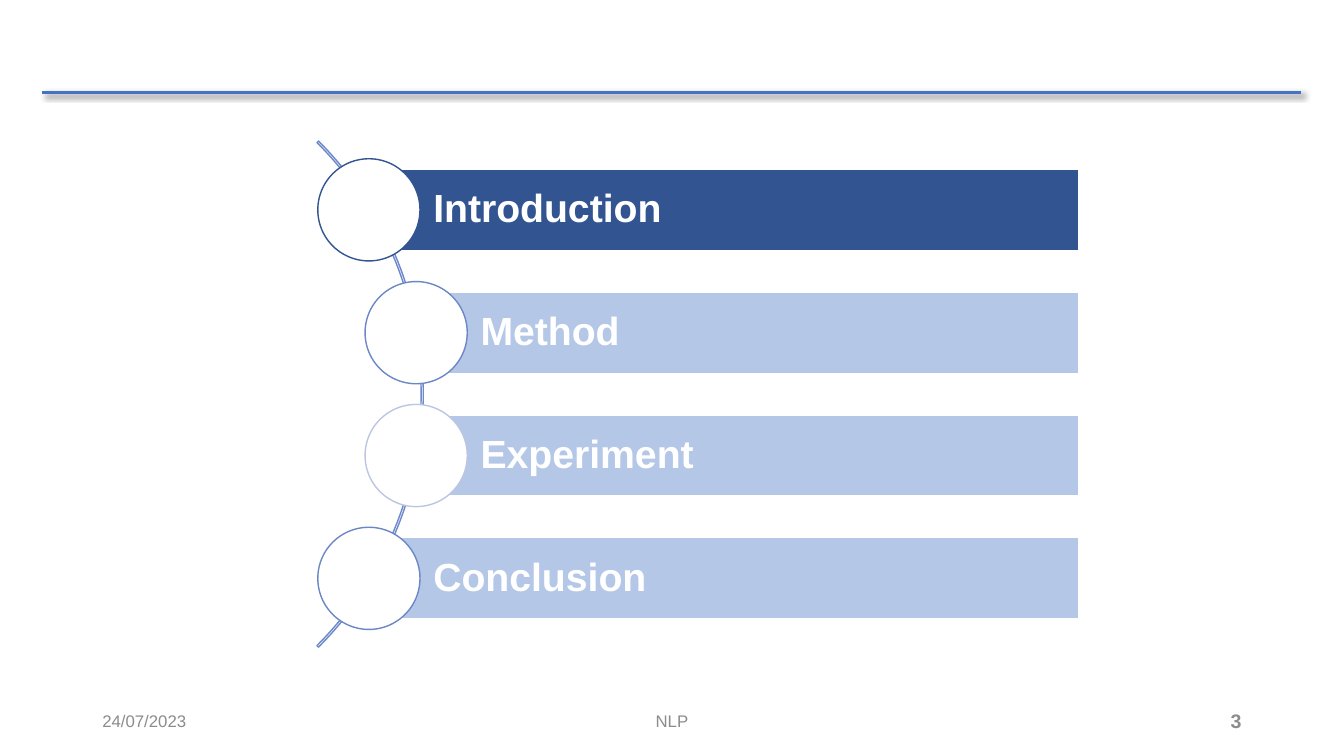
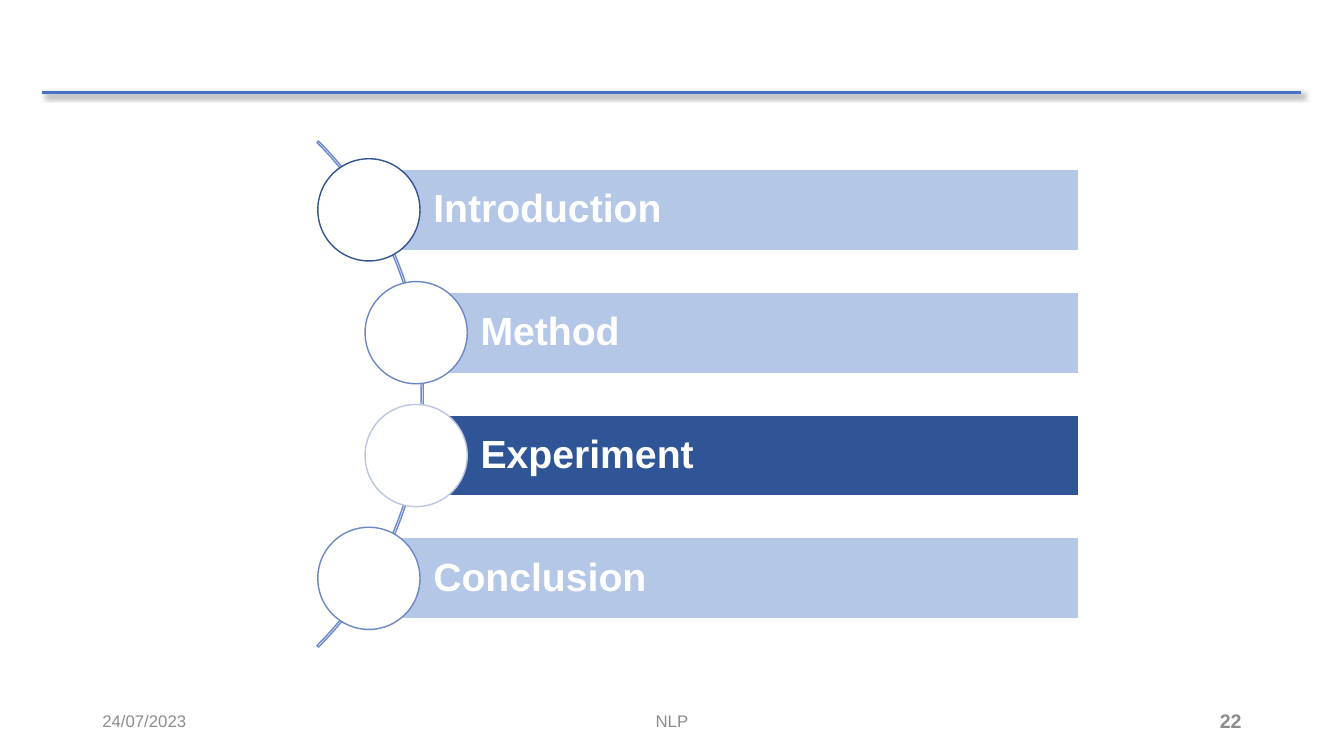
from dataclasses import dataclass

from lxml import etree
from pptx import Presentation
from pptx.dml.color import RGBColor
from pptx.enum import shapes, text
from pptx.oxml import ns
from pptx.util import Pt


@dataclass(frozen=True)
class Theme:
    font: str = "Arial"
    white: str = "FFFFFF"
    rule: str = "4472C4"
    shadow: str = "000000"
    footer: str = "8C8C8C"
    arc: str = "6D89CB"
    navy: str = "325491"
    blue: str = "2F5597"
    pale: str = "B4C7E7"
    ring: str = "6C87C5"
    pale_ring: str = "BCC6E2"
    footer_size: float = 12
    number_size: float = 14
    label_size: float = 28


THEME = Theme()
SLIDE_WIDTH, SLIDE_HEIGHT = 960, 540
RULE_LEFT, RULE_RIGHT, RULE_TOP = 30, 929.5, 65.8
FOOTER_TOP, FOOTER_HEIGHT = 500.5, 28.75
ARC_LEFT, ARC_TOP, ARC_SIZE = -208.8, 25.9, 511.2
BAR_RIGHT, BAR_HEIGHT, BAR_PITCH = 770.4, 58, 87.75
CIRCLE_SIZE = 73
OUTER_X, INNER_X = 263.5, 297.25

SECTIONS = [
    ("Introduction", OUTER_X, THEME.navy),
    ("Method", INNER_X, THEME.ring),
    ("Experiment", INNER_X, THEME.pale_ring),
    ("Conclusion", OUTER_X, THEME.ring),
]


def rgb(colour):
    return RGBColor.from_string(colour)


def style_paragraph(paragraph, size, colour, bold, alignment):
    paragraph.alignment = alignment
    for run in paragraph.runs:
        run.font.name = THEME.font
        run.font.size = Pt(size)
        run.font.bold = bold
        run.font.color.rgb = rgb(colour)


def add_outlined(container, kind, left, top, width, height, fill, line):
    shape = container.add_shape(kind, Pt(left), Pt(top), Pt(width), Pt(height))
    shape.shadow.inherit = False
    if fill:
        shape.fill.solid()
        shape.fill.fore_color.rgb = rgb(fill)
    else:
        shape.fill.background()
    shape.line.color.rgb = rgb(line)
    shape.line.width = Pt(1)
    return shape


def add_rule(slide):
    rule = slide.shapes.add_connector(
        shapes.MSO_CONNECTOR.STRAIGHT,
        Pt(RULE_LEFT), Pt(RULE_TOP), Pt(RULE_RIGHT), Pt(RULE_TOP))
    rule.line.color.rgb = rgb(THEME.rule)
    rule.line.width = Pt(2.25)
    effects = etree.SubElement(rule._element.spPr, ns.qn("a:effectLst"))
    shadow = etree.SubElement(
        effects, ns.qn("a:outerShdw"), blurRad=str(Pt(4)), dist=str(Pt(3)),
        dir="2700000", algn="tl", rotWithShape="0")
    colour = etree.SubElement(shadow, ns.qn("a:srgbClr"), val=THEME.shadow)
    etree.SubElement(colour, ns.qn("a:alpha"), val="40000")


def add_footer(slide, words, left, width, alignment,
               size=THEME.footer_size, bold=False):
    box = slide.shapes.add_textbox(
        Pt(left), Pt(FOOTER_TOP), Pt(width), Pt(FOOTER_HEIGHT))
    frame = box.text_frame
    frame.word_wrap = True
    frame.vertical_anchor = text.MSO_ANCHOR.MIDDLE
    frame.text = words
    style_paragraph(frame.paragraphs[0], size, THEME.footer, bold, alignment)


def add_frame(slide, number):
    add_rule(slide)
    add_footer(slide, "24/07/2023", 66, 216, text.PP_ALIGN.LEFT)
    add_footer(slide, "NLP", 318, 324, text.PP_ALIGN.CENTER)
    add_footer(slide, str(number), 678, 216, text.PP_ALIGN.RIGHT,
               THEME.number_size, True)


def add_arc(container):
    arc = add_outlined(container, shapes.MSO_SHAPE.BLOCK_ARC, ARC_LEFT, ARC_TOP,
                       ARC_SIZE, ARC_SIZE, None, THEME.arc)
    for index, value in enumerate((189, 27, 0.003)):
        arc.adjustments[index] = value


def add_section(container, label, x, middle, fill, ring):
    bar = add_outlined(container, shapes.MSO_SHAPE.RECTANGLE, x,
                       middle - BAR_HEIGHT / 2, BAR_RIGHT - x, BAR_HEIGHT,
                       fill, THEME.white)
    frame = bar.text_frame
    frame.word_wrap = True
    frame.vertical_anchor = text.MSO_ANCHOR.MIDDLE
    frame.margin_left = Pt(46)
    frame.margin_top = frame.margin_right = frame.margin_bottom = Pt(5.75)
    frame.text = label
    paragraph = frame.paragraphs[0]
    paragraph.line_spacing = 0.9
    style_paragraph(paragraph, THEME.label_size, THEME.white, True,
                    text.PP_ALIGN.LEFT)
    radius = CIRCLE_SIZE / 2
    add_outlined(container, shapes.MSO_SHAPE.OVAL, x - radius, middle - radius,
                 CIRCLE_SIZE, CIRCLE_SIZE, THEME.white, ring)


def add_agenda(slide, active, active_fill):
    container = slide.shapes.add_group_shape().shapes
    add_arc(container)
    centre = ARC_TOP + ARC_SIZE / 2
    for index, (label, x, ring) in enumerate(SECTIONS):
        middle = centre + (index - (len(SECTIONS) - 1) / 2) * BAR_PITCH
        fill = active_fill if label == active else THEME.pale
        add_section(container, label, x, middle, fill, ring)


def main():
    presentation = Presentation()
    presentation.slide_width = Pt(SLIDE_WIDTH)
    presentation.slide_height = Pt(SLIDE_HEIGHT)
    for number, active, active_fill in (
            (3, "Introduction", THEME.navy), (22, "Experiment", THEME.blue)):
        slide = presentation.slides.add_slide(presentation.slide_layouts[6])
        add_frame(slide, number)
        add_agenda(slide, active, active_fill)
    presentation.save("out.pptx")


if __name__ == "__main__":
    main()
